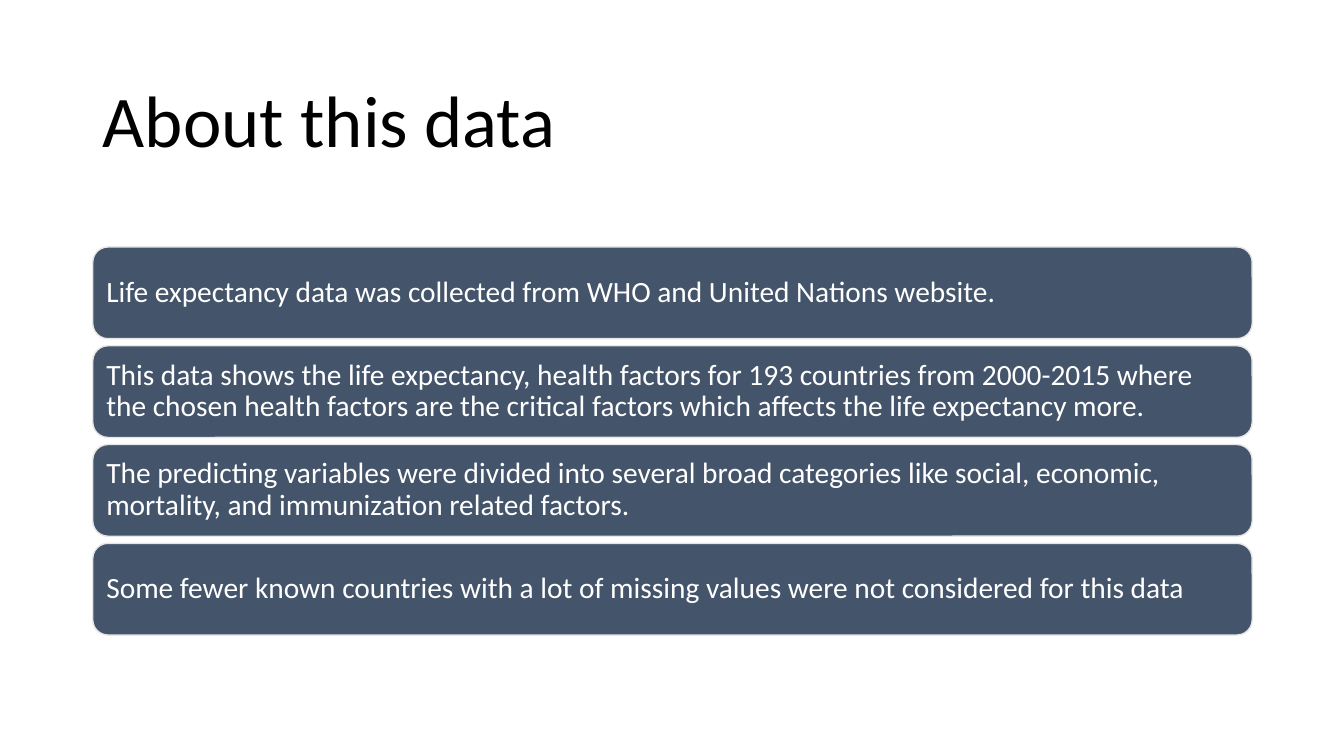
from dataclasses import dataclass

from pptx import Presentation
from pptx.dml.color import RGBColor
from pptx.enum.shapes import MSO_SHAPE
from pptx.enum.text import MSO_ANCHOR, MSO_AUTO_SIZE, PP_ALIGN
from pptx.slide import Slide
from pptx.text.text import TextFrame
from pptx.util import Inches, Pt

ROUNDED = MSO_SHAPE.ROUNDED_RECTANGLE
MIDDLE = MSO_ANCHOR.MIDDLE
LEFT_ALIGN = PP_ALIGN.LEFT
NO_AUTOFIT = MSO_AUTO_SIZE.NONE

FONT = "Calibri"
LEFT, WIDTH = 0.92, 11.5
FIRST_TOP, BAR_HEIGHT, BAR_STEP = 2.45, 0.91, 0.98


@dataclass
class Bar:
    text: str
    top: float


FACTS = [
    "Life expectancy data was collected from WHO and United Nations website.",
    "This data shows the life expectancy, health factors for 193 countries from "
    "2000-2015 where the chosen health factors are the critical factors which "
    "affects the life expectancy more.",
    "The predicting variables were divided into several broad categories like "
    "social, economic, mortality, and immunization related factors.",
    "Some fewer known countries with a lot of missing values were not considered "
    "for this data",
]
BARS = [Bar(fact, FIRST_TOP + row * BAR_STEP) for row, fact in enumerate(FACTS)]


def rgb(value: str) -> RGBColor:
    return RGBColor.from_string(value)


def write(frame: TextFrame, text: str, size: float, color: str, inset: float) -> None:
    frame.text = text
    frame.word_wrap = True
    frame.auto_size = NO_AUTOFIT
    frame.vertical_anchor = MIDDLE
    frame.margin_left = frame.margin_right = Inches(inset)
    para = frame.paragraphs[0]
    para.alignment = LEFT_ALIGN
    para.line_spacing = 0.9
    para.font.name = FONT
    para.font.size = Pt(size)
    para.font.color.rgb = rgb(color)


def add_title(page: Slide, text: str) -> None:
    title = page.shapes.title
    title.left, title.top = Inches(LEFT), Inches(0.61)
    title.width, title.height = Inches(WIDTH), Inches(1.24)
    write(title.text_frame, text, 52, "000000", 0.1)


def add_bar(page: Slide, bar: Bar) -> None:
    box = page.shapes.add_shape(
        ROUNDED, Inches(LEFT), Inches(bar.top), Inches(WIDTH), Inches(BAR_HEIGHT)
    )
    box.shadow.inherit = False
    box.fill.solid()
    box.fill.fore_color.rgb = rgb("44546A")
    box.line.color.rgb = rgb("E7E6E6")
    box.line.width = Pt(1)
    write(box.text_frame, bar.text, 21, "FFFFFF", 0.09)


def main() -> None:
    deck = Presentation()
    deck.slide_width, deck.slide_height = Inches(13.33), Inches(7.5)
    page = deck.slides.add_slide(deck.slide_layouts[5])
    add_title(page, "About this data")
    for bar in BARS:
        add_bar(page, bar)
    deck.save("out.pptx")


if __name__ == "__main__":
    main()
